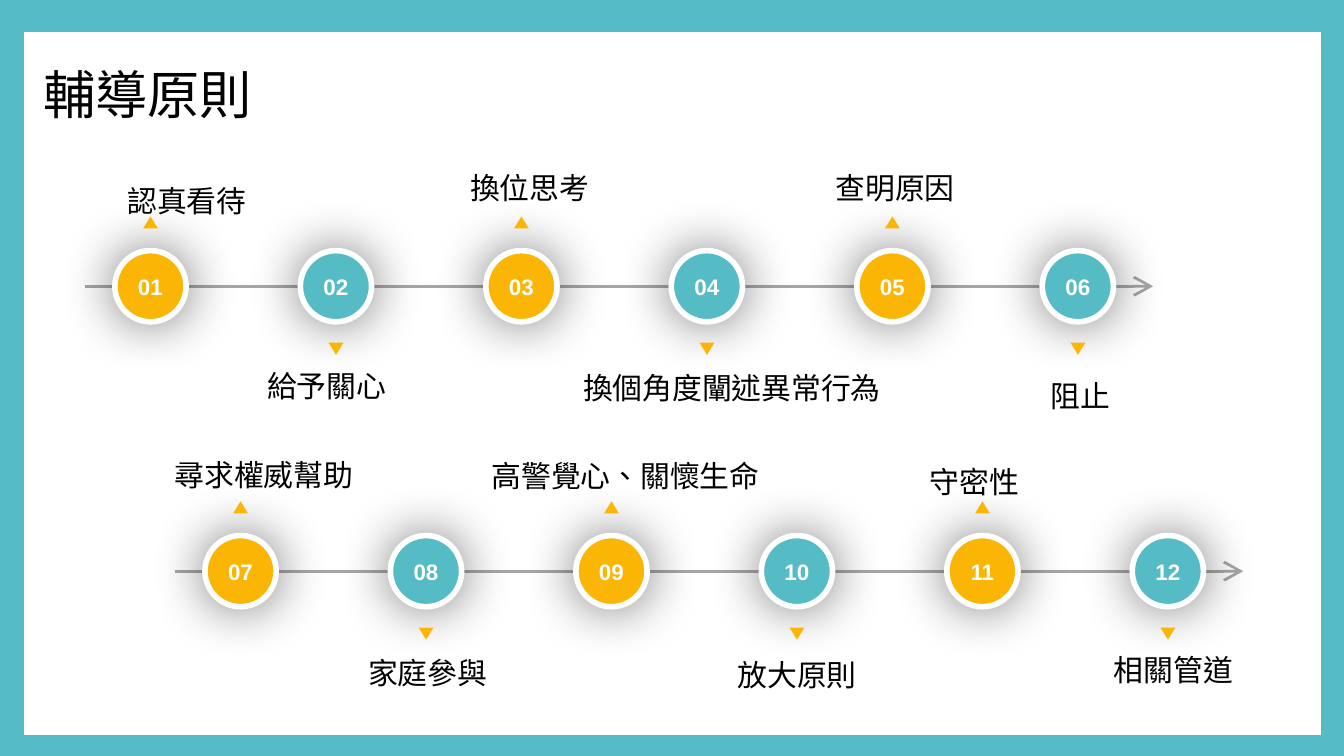
from lxml import etree
from pptx import Presentation
from pptx.dml.color import RGBColor
from pptx.enum.lang import MSO_LANGUAGE_ID
from pptx.enum.shapes import MSO_CONNECTOR, MSO_SHAPE
from pptx.enum.text import MSO_ANCHOR, PP_ALIGN
from pptx.oxml.ns import qn
from pptx.util import Inches, Pt

RECTANGLE = MSO_SHAPE.RECTANGLE
OVAL = MSO_SHAPE.OVAL
TRIANGLE = MSO_SHAPE.ISOSCELES_TRIANGLE
STRAIGHT = MSO_CONNECTOR.STRAIGHT
MIDDLE = MSO_ANCHOR.MIDDLE
LEFT, CENTER = PP_ALIGN.LEFT, PP_ALIGN.CENTER
CHINESE = MSO_LANGUAGE_ID.TRADITIONAL_CHINESE

WIDTH = 10
HEIGHT = WIDTH * 9 / 16
TEAL, AMBER, GRAY, WHITE, BLACK = "55BBC5", "FBB505", "A6A6A6", "FFFFFF", "000000"
PITCH = 1.38
CIRCLE = 0.53
POINTER_WIDTH, POINTER_HEIGHT = 0.11, 0.09
LINE_LEAD, LINE_LENGTH = 0.49, 7.95

TIMELINES = [
    (1.12, 2.13, 1, [
        ("認真看待", 0.85, 1.31), ("給予關心", 1.89, 2.69),
        ("換位思考", 3.4, 1.21), ("換個角度闡述異常行為", 4.24, 2.7),
        ("查明原因", 6.12, 1.21), ("阻止", 7.72, 2.76),
    ]),
    (1.79, 4.25, 7, [
        ("尋求權威幫助", 1.2, 3.35), ("家庭參與", 2.64, 4.82),
        ("高警覺心、關懷生命", 3.56, 3.36), ("放大原則", 5.39, 4.84),
        ("守密性", 6.82, 3.4), ("相關管道", 8.19, 4.8),
    ]),
]


def color(value):
    """Turn a hex string into a colour."""
    return RGBColor.from_string(value)


def box(left, top, width, height):
    """Convert a box in inches to slide units."""
    return [Inches(value) for value in (left, top, width, height)]


def format_text(frame, size, text_color, alignment=LEFT, bold=False):
    """Style the only paragraph of a text frame."""
    paragraph = frame.paragraphs[0]
    paragraph.alignment = alignment
    font = paragraph.font
    font.name, font.size, font.bold = "Arial", Pt(size), bold
    font.color.rgb = color(text_color)
    paragraph.runs[0].font.language_id = CHINESE


def add_shape(slide, kind, place, fill, line=None, line_width=1):
    """Add a flat filled shape with an optional outline."""
    shape = slide.shapes.add_shape(kind, *box(*place))
    shape.shadow.inherit = False
    shape.fill.solid()
    shape.fill.fore_color.rgb = color(fill)
    if line:
        shape.line.color.rgb = color(line)
        shape.line.width = Pt(line_width)
    else:
        shape.line.fill.background()
    return shape


def add_glow_shadow(shape):
    """Give a shape a soft, centred black shadow."""
    effects = shape.element.spPr.find(qn("a:effectLst"))
    shadow = etree.SubElement(effects, qn("a:outerShdw"), blurRad=str(Pt(29)),
                              dist="0", dir="0", algn="ctr", rotWithShape="0")
    black = etree.SubElement(shadow, qn("a:srgbClr"), val=BLACK)
    etree.SubElement(black, qn("a:alpha"), val="52000")


def add_frame_and_title(slide):
    """Put the teal frame and white panel behind the title."""
    title = slide.shapes.title
    frame = add_shape(slide, RECTANGLE, (0, 0, WIDTH, HEIGHT), TEAL)
    panel = add_shape(slide, RECTANGLE, (0.17, 0.23, 9.67, 5.25), WHITE, TEAL)
    for shape in (frame, panel):
        title.element.addprevious(shape.element)
    title.left, title.top, title.width, title.height = box(0.22, 0.41, 2.83, 0.57)
    title.text_frame.text = "輔導原則"
    title.text_frame.vertical_anchor = MIDDLE
    format_text(title.text_frame, 28, BLACK)


def add_arrow(slide, left, axis):
    """Draw the horizontal arrow of a timeline."""
    arrow = slide.shapes.add_connector(
        STRAIGHT, *box(left, axis, left + LINE_LENGTH, axis))
    arrow.line.color.rgb = color(GRAY)
    arrow.line.width = Pt(1.5)
    properties = arrow.element.spPr
    etree.SubElement(properties.find(qn("a:ln")), qn("a:tailEnd"),
                     type="arrow", w="lg", len="lg")
    etree.SubElement(properties, qn("a:effectLst"))


def add_milestone(slide, center, axis, number, above):
    """Add a numbered circle and the pointer towards its label."""
    place = (center - CIRCLE / 2, axis - CIRCLE / 2, CIRCLE, CIRCLE)
    circle = add_shape(slide, OVAL, place, AMBER if above else TEAL, WHITE, 3)
    add_glow_shadow(circle)
    frame = circle.text_frame
    frame.text = f"{number:02d}"
    frame.word_wrap = False
    frame.vertical_anchor = MIDDLE
    format_text(frame, 12, WHITE, CENTER, True)
    top = axis - 0.52 if above else axis + 0.42
    pointer = add_shape(slide, TRIANGLE, (center - POINTER_WIDTH / 2, top,
                                          POINTER_WIDTH, POINTER_HEIGHT), AMBER)
    pointer.rotation = 0 if above else 180


def add_label(slide, text, left, top):
    """Add a one-line label as wide as its characters."""
    width = 0.2 + len(text) * 16 / 72
    frame = slide.shapes.add_textbox(*box(left, top, width, 0.37)).text_frame
    frame.text = text
    frame.word_wrap = False
    format_text(frame, 16, BLACK)


def add_timeline(slide, start, axis, first_number, labels):
    """Draw one arrow with its milestones and labels."""
    add_arrow(slide, start - LINE_LEAD, axis)
    for index in range(len(labels)):
        add_milestone(slide, start + index * PITCH, axis,
                      first_number + index, index % 2 == 0)
    for label in labels:
        add_label(slide, *label)


def main():
    """Build the slide and save it."""
    presentation = Presentation()
    presentation.slide_width = Inches(WIDTH)
    presentation.slide_height = Inches(HEIGHT)
    slide = presentation.slides.add_slide(presentation.slide_layouts[5])
    add_frame_and_title(slide)
    for timeline in TIMELINES:
        add_timeline(slide, *timeline)
    presentation.save("out.pptx")


if __name__ == "__main__":
    main()
